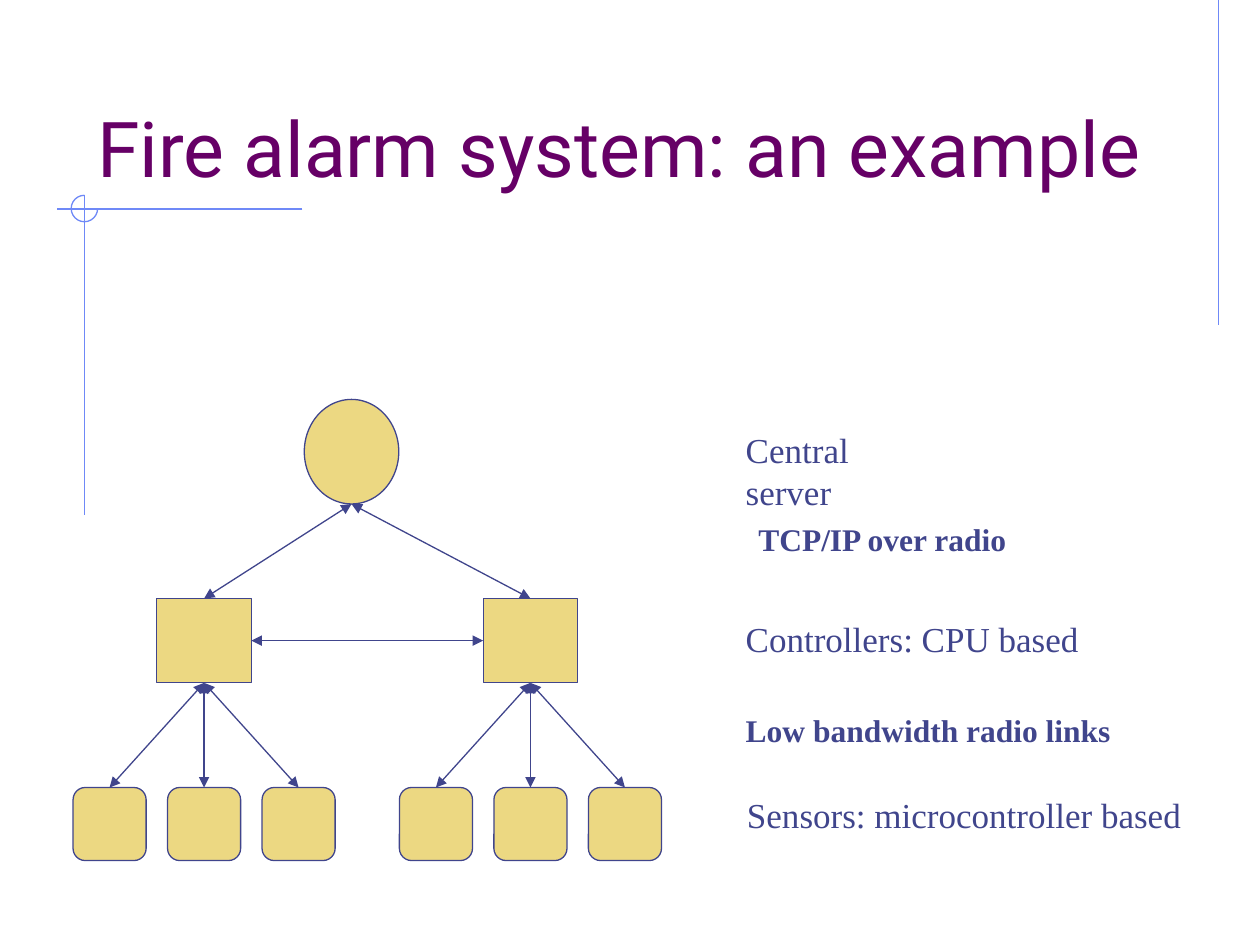
import pptx
import pptx.util
import pptx.dml.color
import pptx.enum.shapes
import pptx.enum.text
import pptx.oxml.ns
from lxml import etree

Inches = pptx.util.Inches
RGB = pptx.dml.color.RGBColor
SHAPE = pptx.enum.shapes.MSO_SHAPE

PURPLE = RGB(0x66, 0x00, 0x66)
NAVY = RGB(0x40, 0x45, 0x8C)
SAND = RGB(0xEC, 0xD8, 0x82)
BLUE = RGB(0x6F, 0x89, 0xF7)

# Content
TITLE = "Fire alarm system: an example"
LABELS = [  # text, left, top, width, height, size, bold
    ("Central server", 5.82, 3.35, 1.2, 0.76, 20, False),
    ("TCP/IP over radio", 5.92, 4.08, 2.42, 0.4, 18, True),
    ("Controllers: CPU based", 5.82, 4.85, 2.93, 0.43, 20, False),
    ("Low bandwidth radio links", 5.82, 5.59, 3.18, 0.41, 18, True),
    ("Sensors: microcontroller based", 5.83, 6.25, 3.91, 0.43, 20, False),
]
RULES = [  # x1, y1, x2, y2
    (9.67, 0, 9.67, 2.58),
    (2.4, 1.66, 0.45, 1.66),
    (0.67, 1.55, 0.67, 4.09),
]

# Tree geometry
CONTROLLER_CENTERS = (1.62, 4.21)
SENSOR_PITCH = 0.75
SENSOR_SIZE, SENSOR_TOP = 0.58, 6.25
CONTROLLER_W, CONTROLLER_H, CONTROLLER_TOP = 0.75, 0.67, 4.75
SERVER_CENTER, SERVER_TOP, SERVER_W, SERVER_H = 2.79, 3.17, 0.75, 0.83
TOP, LEFT, BOTTOM, RIGHT = range(4)

prs = pptx.Presentation()
prs.slide_width, prs.slide_height = Inches(10), Inches(7.5)
s = prs.slides.add_slide(prs.slide_layouts[5])


def set_text(tf, text, *, size, font, color, bold=False):
    tf.word_wrap = True
    tf.auto_size = pptx.enum.text.MSO_AUTO_SIZE.NONE
    p = tf.paragraphs[0]
    p.alignment = pptx.enum.text.PP_ALIGN.LEFT
    r = p.add_run()
    r.text = text
    r.font.size = pptx.util.Pt(size)
    r.font.name = font
    r.font.bold = bold
    r.font.color.rgb = color


def add_node(kind, center, top, width, height, fill=SAND, line=NAVY):
    sp = s.shapes.add_shape(kind, Inches(center - width / 2), Inches(top),
                            Inches(width), Inches(height))
    sp.shadow.inherit = False
    if fill is None:
        sp.fill.background()
    else:
        sp.fill.solid()
        sp.fill.fore_color.rgb = fill
    sp.line.color.rgb = line
    sp.line.width = pptx.util.Pt(0.75)
    return sp


def add_line(x1, y1, x2, y2, color, arrows=False):
    c = s.shapes.add_connector(pptx.enum.shapes.MSO_CONNECTOR.STRAIGHT,
                               *map(Inches, (x1, y1, x2, y2)))
    c.line.color.rgb = color
    c.line.width = pptx.util.Pt(0.75)
    qn = pptx.oxml.ns.qn
    if arrows:
        ln = c.line._get_or_add_ln()
        for end in ("a:headEnd", "a:tailEnd"):
            etree.SubElement(ln, qn(end), type="triangle")
    etree.SubElement(c._element.spPr, qn("a:effectLst"))
    return c


# Corner rules and three-quarter ring
for rule in RULES:
    add_line(*rule, BLUE)
ring = add_node(SHAPE.ARC, 0.67, 1.55, 0.21, 0.21, fill=None, line=BLUE)
ring.adjustments[0] = 0
ring.adjustments[1] = 162  # 270 degrees, in units of 100000/60000

# Title
title = s.shapes.title
title.left, title.top, title.width, title.height = map(
    Inches, (0.67, 0.33, 8.83, 1.25))
title.text_frame.vertical_anchor = pptx.enum.text.MSO_ANCHOR.BOTTOM
set_text(title.text_frame, TITLE, size=44, font="Roboto", color=PURPLE)

# Server, controllers and sensors
add_node(SHAPE.OVAL, SERVER_CENTER, SERVER_TOP, SERVER_W, SERVER_H)
controllers = []
for x in CONTROLLER_CENTERS:
    controller = add_node(SHAPE.RECTANGLE, x, CONTROLLER_TOP,
                          CONTROLLER_W, CONTROLLER_H)
    controllers.append(controller)
    uplink = add_line(x, CONTROLLER_TOP, SERVER_CENTER,
                      SERVER_TOP + SERVER_H, NAVY, arrows=True)
    uplink.begin_connect(controller, TOP)
    for step in (-1, 0, 1):
        sensor_x = x + step * SENSOR_PITCH
        sensor = add_node(SHAPE.ROUNDED_RECTANGLE, sensor_x, SENSOR_TOP,
                          SENSOR_SIZE, SENSOR_SIZE)
        link = add_line(sensor_x, SENSOR_TOP, x,
                        CONTROLLER_TOP + CONTROLLER_H, NAVY, arrows=True)
        link.begin_connect(sensor, TOP)
        link.end_connect(controller, BOTTOM)

# Link between the controllers
mid_y = CONTROLLER_TOP + CONTROLLER_H / 2
peer = add_line(CONTROLLER_CENTERS[0] + CONTROLLER_W / 2, mid_y,
                CONTROLLER_CENTERS[1] - CONTROLLER_W / 2, mid_y,
                NAVY, arrows=True)
peer.begin_connect(controllers[0], RIGHT)
peer.end_connect(controllers[1], LEFT)

# Labels
for text, left, top, width, height, size, bold in LABELS:
    box = s.shapes.add_textbox(*map(Inches, (left, top, width, height)))
    set_text(box.text_frame, text, size=size, font="Times New Roman",
             color=NAVY, bold=bold)

prs.save("out.pptx")
